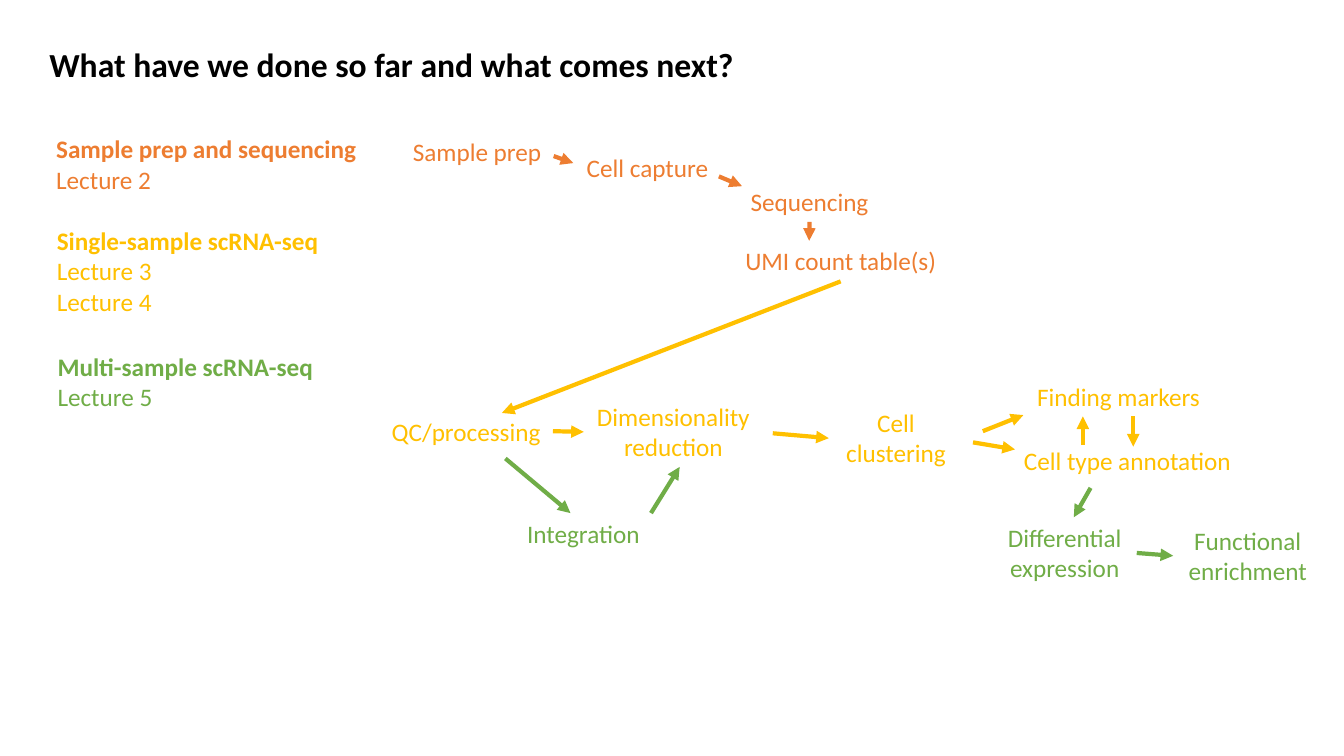
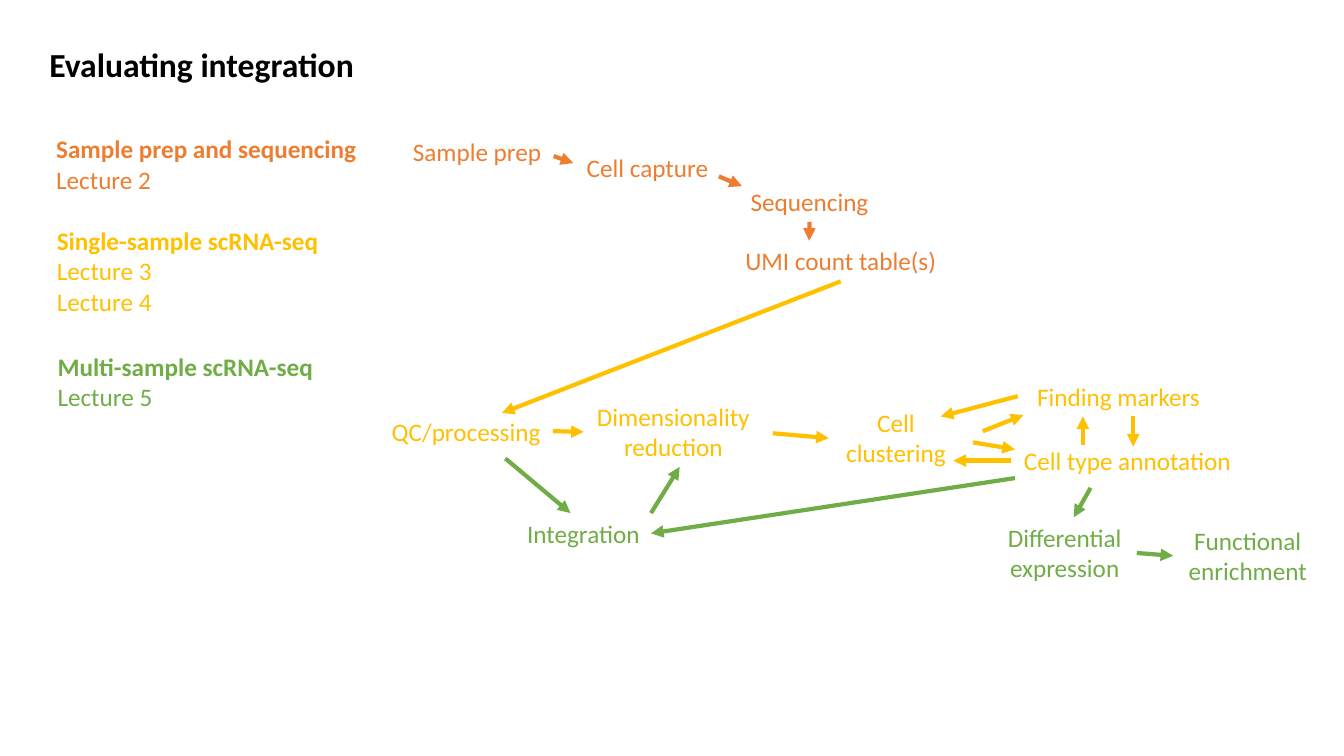
from lxml import etree
from pptx import Presentation
from pptx.dml.color import RGBColor
from pptx.enum.shapes import MSO_CONNECTOR
from pptx.enum.text import MSO_ANCHOR, PP_ALIGN
from pptx.oxml.ns import qn
from pptx.util import Pt

STRAIGHT = MSO_CONNECTOR.STRAIGHT
LEFT, CENTER = PP_ALIGN.LEFT, PP_ALIGN.CENTER
TOP, MIDDLE = MSO_ANCHOR.TOP, MSO_ANCHOR.MIDDLE
SIDE_LEFT, SIDE_BOTTOM, SIDE_RIGHT = 1, 2, 3

FONT = "Calibri"
COLORS = {"title": "000000", "prep": "ED7D31", "single": "FFC000", "multi": "70AD47"}
LINE_HEIGHT, BOX_PADDING = 22, 7
TITLE_BOX = (28, 27.5, 599, 36)
LEGEND_WIDTH = 237

# stage, left, top, lines
LEGEND = [
    ("prep", 33, 92, ["Sample prep and sequencing", "Lecture 2"]),
    ("single", 33.5, 157.5, ["Single-sample scRNA-seq", "Lecture 3", "Lecture 4"]),
    ("multi", 34, 247.5, ["Multi-sample scRNA-seq", "Lecture 5"]),
]

# stage, step, left, top, width, number of lines
STEPS = [
    ("prep", "Sample prep", 264, 93.5, 153.5, 1),
    ("prep", "Cell capture", 405.5, 105, 114, 1),
    ("prep", "Sequencing", 525, 129.5, 106.5, 1),
    ("prep", "UMI count table(s)", 522, 172, 157, 1),
    ("single", "QC/processing", 271, 293.5, 124, 1),
    ("single", "Dimensionality reduction", 417, 283, 128, 2),
    ("single", "Cell clustering", 592, 287.5, 96, 2),
    ("single", "Finding markers", 727, 268.5, 144, 1),
    ("single", "Cell type annotation", 722, 314.5, 166.5, 1),
    ("multi", "Integration", 368.5, 366.5, 96.5, 1),
    ("multi", "Differential expression", 712, 369.5, 97, 2),
    ("multi", "Functional enrichment", 838, 371.5, 106.5, 2),
]

# stage, start, end; each end is a point or a (step, side) pair
WORKFLOW_ARROWS = [
    ("prep", (395.5, 111.5), (409.5, 116.5)),
    ("prep", (513.5, 126), (530, 133)),
    ("prep", ("Sequencing", SIDE_BOTTOM), (578, 172)),
    ("single", ("UMI count table(s)", SIDE_BOTTOM), (358.5, 295)),
    ("single", ("QC/processing", SIDE_RIGHT), ("Dimensionality reduction", SIDE_LEFT)),
    ("single", (552, 309.5), ("Cell clustering", SIDE_LEFT)),
    ("single", (695, 316), (725, 321)),
    ("single", (702, 308), (731, 296.5)),
    ("single", (773.5, 318), (773.5, 297.5)),
    ("single", (809.5, 297.5), (809.5, 319)),
    ("multi", (361, 327.5), (407.5, 366.5)),
    ("multi", (465, 366.5), (485.5, 333.5)),
    ("multi", (779, 348.5), (767, 369.5)),
    ("multi", (812, 395), ("Functional enrichment", SIDE_LEFT)),
]
FEEDBACK_ARROWS = [
    ("multi", (725, 341.5), ("Integration", SIDE_RIGHT)),
    ("single", ("Finding markers", SIDE_LEFT), (672, 297.5)),
    ("single", ("Cell type annotation", SIDE_LEFT), (681, 329)),
]

SLIDES = [
    ("What have we done so far and what comes next?", WORKFLOW_ARROWS),
    ("Evaluating integration", WORKFLOW_ARROWS + FEEDBACK_ARROWS),
]


def write(shape, lines, color, size=18, align=LEFT, anchor=TOP, bold_first=False):
    frame = shape.text_frame
    frame.word_wrap = True
    frame.vertical_anchor = anchor
    for i, line in enumerate(lines):
        paragraph = frame.paragraphs[0] if i == 0 else frame.add_paragraph()
        paragraph.alignment = align
        run = paragraph.add_run()
        run.text = line
        run.font.name = FONT
        run.font.size = Pt(size)
        run.font.bold = bold_first and i == 0
        run.font.color.rgb = RGBColor.from_string(COLORS[color])


def add_label(slide, left, top, width, line_count):
    height = LINE_HEIGHT * line_count + BOX_PADDING
    return slide.shapes.add_textbox(Pt(left), Pt(top), Pt(width), Pt(height))


def add_arrow(slide, boxes, color, start, end):
    """Draw an arrow, joining any end that names a step to that step's side."""
    joined = [isinstance(point[0], str) for point in (start, end)]
    points = [(0, 0) if join else point for join, point in zip(joined, (start, end))]
    arrow = slide.shapes.add_connector(
        STRAIGHT, *(Pt(value) for point in points for value in point))
    if joined[0]:
        arrow.begin_connect(boxes[start[0]], start[1])
    if joined[1]:
        arrow.end_connect(boxes[end[0]], end[1])
    arrow.line.width = Pt(3)
    arrow.line.color.rgb = RGBColor.from_string(COLORS[color])
    etree.SubElement(arrow.line._get_or_add_ln(), qn("a:tailEnd"), type="triangle")
    etree.SubElement(arrow._element.spPr, qn("a:effectLst"))


def build_slide(prs, layout, title, arrows):
    slide = prs.slides.add_slide(layout)
    write(slide.shapes.title, [title], "title", size=24, anchor=MIDDLE, bold_first=True)
    for stage, left, top, lines in LEGEND:
        legend = add_label(slide, left, top, LEGEND_WIDTH, len(lines))
        write(legend, lines, stage, bold_first=True)
    boxes = {}
    for stage, step, *place in STEPS:
        boxes[step] = add_label(slide, *place)
        write(boxes[step], [step], stage, align=CENTER)
    for stage, start, end in arrows:
        add_arrow(slide, boxes, stage, start, end)


def main():
    prs = Presentation()
    prs.slide_width, prs.slide_height = Pt(960), Pt(540)
    layout = prs.slide_layouts.get_by_name("Title Only")
    heading = layout.placeholders[0]
    heading.left, heading.top, heading.width, heading.height = map(Pt, TITLE_BOX)
    for title, arrows in SLIDES:
        build_slide(prs, layout, title, arrows)
    prs.save("out.pptx")


if __name__ == "__main__":
    main()
